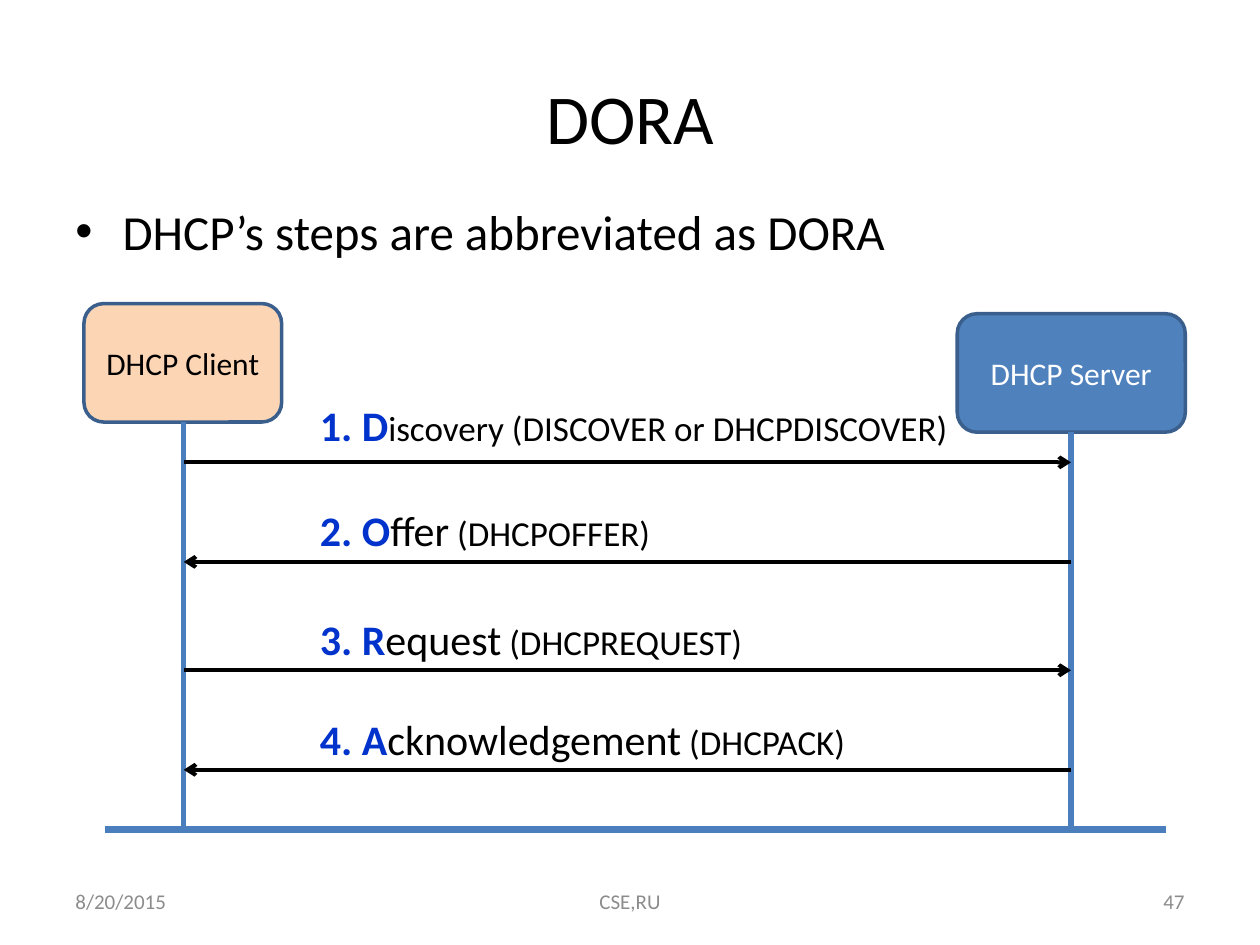
from pptx import Presentation
from pptx.dml.color import RGBColor
from pptx.enum.shapes import MSO_CONNECTOR, MSO_SHAPE
from pptx.enum.text import MSO_ANCHOR, PP_ALIGN
from pptx.oxml.ns import qn
from pptx.util import Pt
from lxml.etree import SubElement

BLACK, WHITE, GRAY = "000000", "FFFFFF", "8C8C8C"
ACCENT, LIFELINE, BORDER = "4F81BD", "4B7EBC", "3A5F8C"
PEACH, LETTER = "FCD5B5", "0033CC"


def rgb(value):
    return RGBColor.from_string(value)


def style(font, size, color, bold=False):
    font.name, font.size, font.bold = "Calibri", Pt(size), bold
    font.color.rgb = rgb(color)


def place(sp, box):
    sp.left, sp.top, sp.width, sp.height = (Pt(v) for v in box)


def write(sp, text, size, color, align=PP_ALIGN.LEFT, anchor=MSO_ANCHOR.MIDDLE):
    tf = sp.text_frame
    tf.word_wrap = True
    tf.vertical_anchor = anchor
    tf.text = text
    p = tf.paragraphs[0]
    p.alignment = align
    style(p.runs[0].font, size, color)
    return p


def add_text(s, box, *args, **kwargs):
    return write(s.shapes.add_textbox(*(Pt(v) for v in box)), *args, **kwargs)


def add_line(s, start, end, color, width, arrow=False):
    c = s.shapes.add_connector(MSO_CONNECTOR.STRAIGHT, *(Pt(v) for v in start + end))
    c.line.color.rgb = rgb(color)
    c.line.width = Pt(width)
    if arrow:
        SubElement(c.line._get_or_add_ln(), qn("a:tailEnd"), type="arrow")
    SubElement(c._element.spPr, qn("a:effectLst"))


def add_title(s, box, text):
    place(s.shapes.title, box)
    write(s.shapes.title, text, 40, BLACK, PP_ALIGN.CENTER)


def add_bullet(s, box, text):
    p = add_text(s, box, text, 28, BLACK, anchor=MSO_ANCHOR.TOP)
    pPr = p._p.get_or_add_pPr()
    pPr.set("marL", str(Pt(27)))
    pPr.set("indent", str(Pt(-27)))
    SubElement(pPr, qn("a:buFont"), typeface="Arial")
    SubElement(pPr, qn("a:buChar"), char="•")


def add_host(s, box, name, fill, color):
    sp = s.shapes.add_shape(MSO_SHAPE.ROUNDED_RECTANGLE, *(Pt(v) for v in box))
    sp.shadow.inherit = False
    sp.fill.solid()
    sp.fill.fore_color.rgb = rgb(fill)
    sp.line.color.rgb = rgb(BORDER)
    sp.line.width = Pt(2)
    write(sp, name, 18, color, PP_ALIGN.CENTER)


def add_label(s, box, parts):
    """Write a message name: bold initial, rest of the word, then its code."""
    tf = s.shapes.add_textbox(*(Pt(v) for v in box)).text_frame
    tf.word_wrap = True
    p = tf.paragraphs[0]
    for i, (text, size) in enumerate(parts):
        r = p.add_run()
        r.text = text
        style(r.font, size, BLACK if i else LETTER, bold=i == 0)


def add_sequence(s, box):
    x, y, w, h = box
    bottom = y + h
    client_x, server_x = x + 45, x + w - 54

    # Hosts
    host_h = 67.7
    add_host(s, (x - 12, y, 113, host_h), "DHCP Client", PEACH, BLACK)
    add_host(s, (server_x - 65, y + 5.8, 130.3, host_h), "DHCP Server", ACCENT, WHITE)

    # Base line and lifelines
    add_line(s, (x, bottom), (x + w, bottom), LIFELINE, 4.5)
    add_line(s, (client_x, y + host_h), (client_x, bottom), LIFELINE, 3)
    add_line(s, (server_x, y + host_h + 5.8), (server_x, bottom), LIFELINE, 3)

    # Messages, alternating direction: arrow offset, label offset, label width, text
    messages = [
        (90.7, 51.1, 377.3, [("1. D", 24), ("iscovery (DISCOVER or DHCPDISCOVER)", 20)]),
        (147.6, 111, 354.2, [("2. O", 24), ("ffer", 24), (" (DHCPOFFER)", 20)]),
        (209.5, 173.5, 354.2, [("3. R", 24), ("equest", 24), (" (DHCPREQUEST)", 20)]),
        (266.4, 230.4, 354.2, [("4. A", 24), ("cknowledgement", 24), (" (DHCPACK)", 20)]),
    ]
    for i, (arrow_y, label_y, label_w, parts) in enumerate(messages):
        ends = [(client_x, y + arrow_y), (server_x, y + arrow_y)]
        sender, receiver = ends[::-1] if i % 2 else ends
        add_line(s, sender, receiver, BLACK, 2.25, arrow=True)
        add_label(s, (x + 115.7, y + label_y, label_w, 36), parts)


def add_footer(s, box, date, source, number):
    x, y, w, h = box
    add_text(s, (x, y, 168, h), date, 12, GRAY)
    add_text(s, (x + (w - 228) / 2, y, 228, h), source, 12, GRAY, PP_ALIGN.CENTER)
    add_text(s, (x + w - 168, y, 168, h), number, 12, GRAY, PP_ALIGN.RIGHT)


def main():
    prs = Presentation()
    prs.slide_width, prs.slide_height = Pt(720), Pt(540)
    s = prs.slides.add_slide(prs.slide_layouts[5])
    add_title(s, (36, 21.6, 648, 90), "DORA")
    add_bullet(s, (36, 111.6, 648, 370.8), "DHCP’s steps are abbreviated as DORA")
    add_sequence(s, (60, 173.5, 606, 300.5))
    add_footer(s, (36, 500.4, 648, 28.8), "8/20/2015", "CSE,RU", "47")
    prs.save("out.pptx")


if __name__ == "__main__":
    main()
